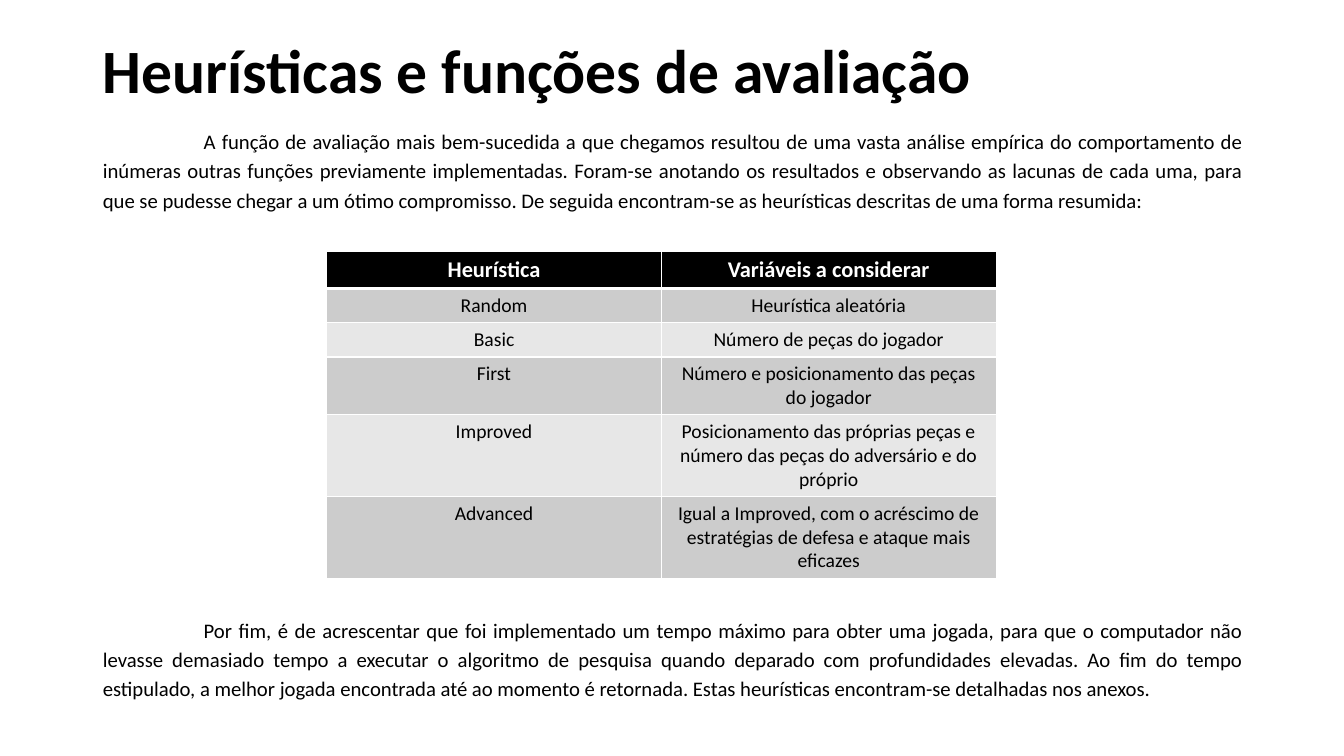
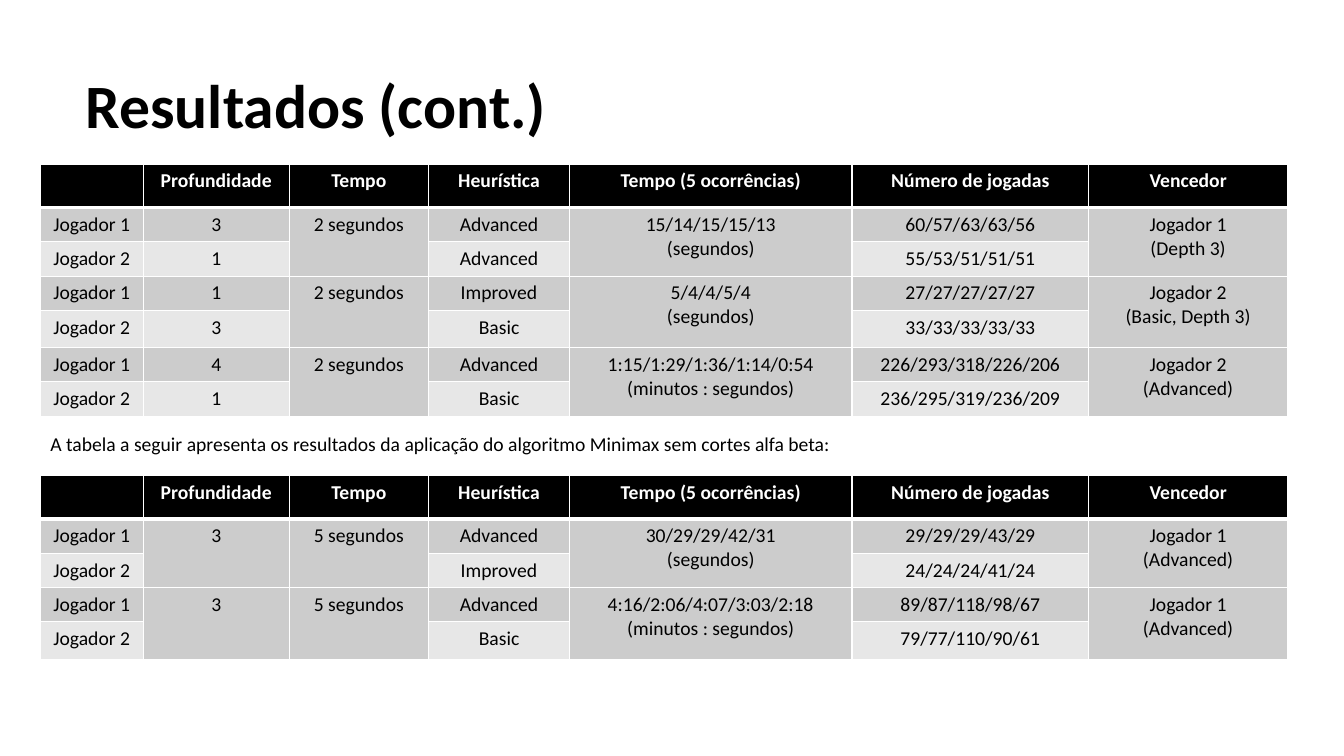
import pptx
import pptx.util
import pptx.dml.color
import pptx.enum.text
import pptx.oxml.ns
import lxml.etree

Inches, Pt = pptx.util.Inches, pptx.util.Pt
ALIGN = pptx.enum.text.PP_ALIGN
FONT = "Calibri"
COLORS = {"text": "000000", "header": "000000", "header_text": "FFFFFF",
          "border": "FFFFFF", "odd_row": "CCCCCC", "even_row": "E7E7E7"}

INTRO = ("A função de avaliação mais bem-sucedida a que chegamos resultou de uma vasta análise "
         "empírica do comportamento de inúmeras outras funções previamente implementadas. "
         "Foram-se anotando os resultados e observando as lacunas de cada uma, para que se pudesse "
         "chegar a um ótimo compromisso. De seguida encontram-se as heurísticas descritas de uma "
         "forma resumida:")
CLOSING = ("Por fim, é de acrescentar que foi implementado um tempo máximo para obter uma jogada, "
           "para que o computador não levasse demasiado tempo a executar o algoritmo de pesquisa "
           "quando deparado com profundidades elevadas. Ao fim do tempo estipulado, a melhor jogada "
           "encontrada até ao momento é retornada. Estas heurísticas encontram-se detalhadas nos "
           "anexos.")
HEURISTICS = [
    ["Heurística", "Variáveis a considerar"],
    ["Random", "Heurística aleatória"],
    ["Basic", "Número de peças do jogador"],
    ["First", "Número e posicionamento das peças do jogador"],
    ["Improved", "Posicionamento das próprias peças e número das peças do adversário e do próprio"],
    ["Advanced", "Igual a Improved, com o acréscimo de estratégias de defesa e ataque mais eficazes"],
]

# In the result tables, None continues the cell above
RESULT_HEADER = ["", "Profundidade", "Tempo", "Heurística", "Tempo (5 ocorrências)",
                 "Número de jogadas", "Vencedor"]
RESULT_COLUMNS = [1.02, 1.45, 1.38, 1.4, 2.8, 2.35, 1.97]
PRUNED_RESULTS = [
    RESULT_HEADER,
    ["Jogador 1", "3", "2 segundos", "Advanced", "15/14/15/15/13\n(segundos)",
     "60/57/63/63/56", "Jogador 1\n(Depth 3)"],
    ["Jogador 2", "1", None, "Advanced", None, "55/53/51/51/51", None],
    ["Jogador 1", "1", "2 segundos", "Improved", "5/4/4/5/4\n(segundos)",
     "27/27/27/27/27", "Jogador 2\n(Basic, Depth 3)"],
    ["Jogador 2", "3", None, "Basic", None, "33/33/33/33/33", None],
    ["Jogador 1", "4", "2 segundos", "Advanced", "1:15/1:29/1:36/1:14/0:54\n(minutos : segundos)",
     "226/293/318/226/206", "Jogador 2\n(Advanced)"],
    ["Jogador 2", "1", None, "Basic", None, "236/295/319/236/209", None],
]
MINIMAX_RESULTS = [
    RESULT_HEADER,
    ["Jogador 1", "3", "5 segundos", "Advanced", "30/29/29/42/31\n(segundos)",
     "29/29/29/43/29", "Jogador 1\n(Advanced)"],
    ["Jogador 2", None, None, "Improved", None, "24/24/24/41/24", None],
    ["Jogador 1", "3", "5 segundos", "Advanced", "4:16/2:06/4:07/3:03/2:18\n(minutos : segundos)",
     "89/87/118/98/67", "Jogador 1\n(Advanced)"],
    ["Jogador 2", None, None, "Basic", None, "79/77/110/90/61", None],
]


def rgb(name):
    return pptx.dml.color.RGBColor.from_string(COLORS[name])


def add_span(para, text, size, color="text", bold=False):
    span = para.add_run()
    span.text = text
    span.font.name, span.font.size, span.font.bold = FONT, Pt(size), bold
    span.font.color.rgb = rgb(color)


def place(shape, left, top, width, height):
    shape.left, shape.top = Inches(left), Inches(top)
    shape.width, shape.height = Inches(width), Inches(height)


def set_title(page, text, left, top):
    title = page.shapes.title
    place(title, left, top, 11.5, 1.45)
    frame = title.text_frame
    frame.auto_size = pptx.enum.text.MSO_AUTO_SIZE.NONE
    frame.vertical_anchor = pptx.enum.text.MSO_ANCHOR.MIDDLE
    para = frame.paragraphs[0]
    para.alignment, para.line_spacing = ALIGN.LEFT, 0.9
    add_span(para, text, 44, bold=True)


def set_body(body, texts, gaps):
    """Justified paragraphs with a first-line indent; gaps are the points above each."""
    frame = body.text_frame
    frame.auto_size = pptx.enum.text.MSO_AUTO_SIZE.NONE
    for index, (text, gap) in enumerate(zip(texts, gaps)):
        para = frame.add_paragraph() if index else frame.paragraphs[0]
        para.alignment, para.line_spacing = ALIGN.JUSTIFY, 1.17
        para.space_before = Pt(gap)
        properties = para._p.get_or_add_pPr()
        properties.set("marL", "0")
        properties.set("indent", str(Inches(1)))
        lxml.etree.SubElement(properties, pptx.oxml.ns.qn("a:buNone"))
        add_span(para, text, 14.8)


def set_borders(cell, widths):
    """Draw the cell edges; widths maps lnL, lnR, lnT and lnB to points."""
    qn = pptx.oxml.ns.qn
    properties = cell._tc.get_or_add_tcPr()
    for edge, width in widths.items():
        line = lxml.etree.SubElement(properties, qn("a:" + edge), w=str(Pt(width)))
        fill = lxml.etree.SubElement(line, qn("a:solidFill"))
        lxml.etree.SubElement(fill, qn("a:srgbClr"), val=COLORS["border"])


def fill_cell(cell, text, row, header_size):
    header = row == 0
    set_borders(cell, {"lnL": 1, "lnR": 1, "lnT": 3 if row == 1 else 1, "lnB": 3 if header else 1})
    cell.fill.solid()
    cell.fill.fore_color.rgb = rgb("header" if header else "odd_row" if row % 2 else "even_row")
    if not text:
        return
    for index, line in enumerate(text.split("\n")):
        para = cell.text_frame.add_paragraph() if index else cell.text_frame.paragraphs[0]
        para.alignment = ALIGN.CENTER
        add_span(para, line, header_size if header else 14,
                 "header_text" if header else "text", header)


def add_grid(page, left, top, columns, heights, rows, header_size=14):
    table = page.shapes.add_table(len(rows), len(columns), Inches(left), Inches(top),
                                  Inches(sum(columns)), Inches(sum(heights))).table
    for column, width in zip(table.columns, columns):
        column.width = Inches(width)
    for row, height in zip(table.rows, heights):
        row.height = Inches(height)
    for r, texts in enumerate(rows):
        for c, text in enumerate(texts):
            fill_cell(table.cell(r, c), text, r, header_size)
            if text is None:
                table.cell(r - 1, c).merge(table.cell(r, c))


def add_caption(page, text, left, top, width, height):
    box = page.shapes.add_textbox(Inches(left), Inches(top), Inches(width), Inches(height))
    box.text_frame.word_wrap = True
    add_span(box.text_frame.paragraphs[0], text, 14)


def build_heuristics(deck):
    page = deck.slides.add_slide(deck.slide_layouts[1])
    set_title(page, "Heurísticas e funções de avaliação", 0.92, 0)
    body = page.placeholders[1]
    place(body, 0.92, 1.19, 11.5, 6.1)
    # The second gap leaves room for the table
    set_body(body, [INTRO, CLOSING], [0, 287])
    add_grid(page, 3.24, 2.49, [3.32] * 2, [0.37, 0.34, 0.34, 0.57, 0.81, 0.81], HEURISTICS, 16)


def build_results(deck):
    page = deck.slides.add_slide(deck.slide_layouts[5])
    set_title(page, "Resultados (cont.)", 0.75, 0.35)
    left, heights = 0.4, [0.43, 0.34, 0.34, 0.34, 0.37, 0.34, 0.34]
    for top, rows in [(1.63, PRUNED_RESULTS), (4.72, MINIMAX_RESULTS)]:
        add_grid(page, left, top, RESULT_COLUMNS, heights[:len(rows)], rows)
    add_caption(page, "A tabela a seguir apresenta os resultados da aplicação do algoritmo "
                "Minimax sem cortes alfa beta:", left, 4.24, 12.12, 0.34)


def main():
    deck = pptx.Presentation()
    deck.slide_width, deck.slide_height = Inches(13.33), Inches(7.5)
    build_heuristics(deck)
    build_results(deck)
    deck.save("out.pptx")


if __name__ == "__main__":
    main()
